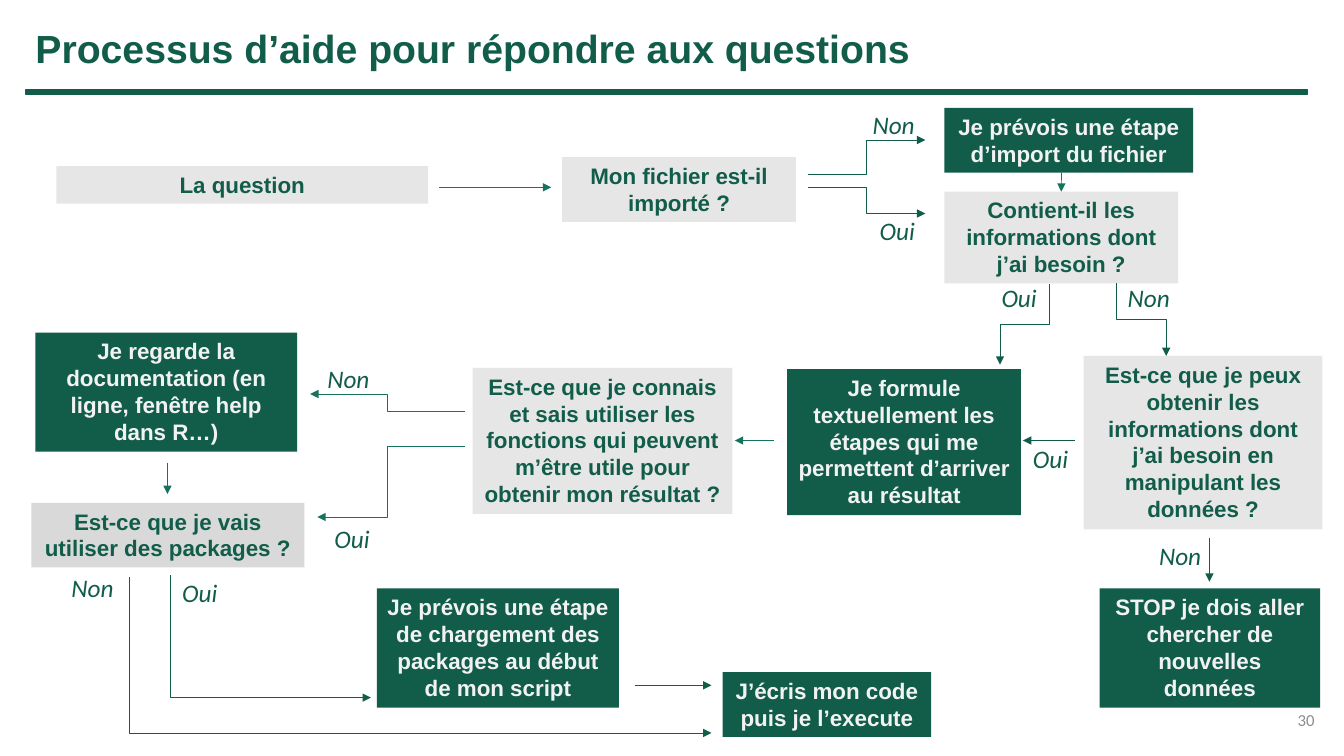
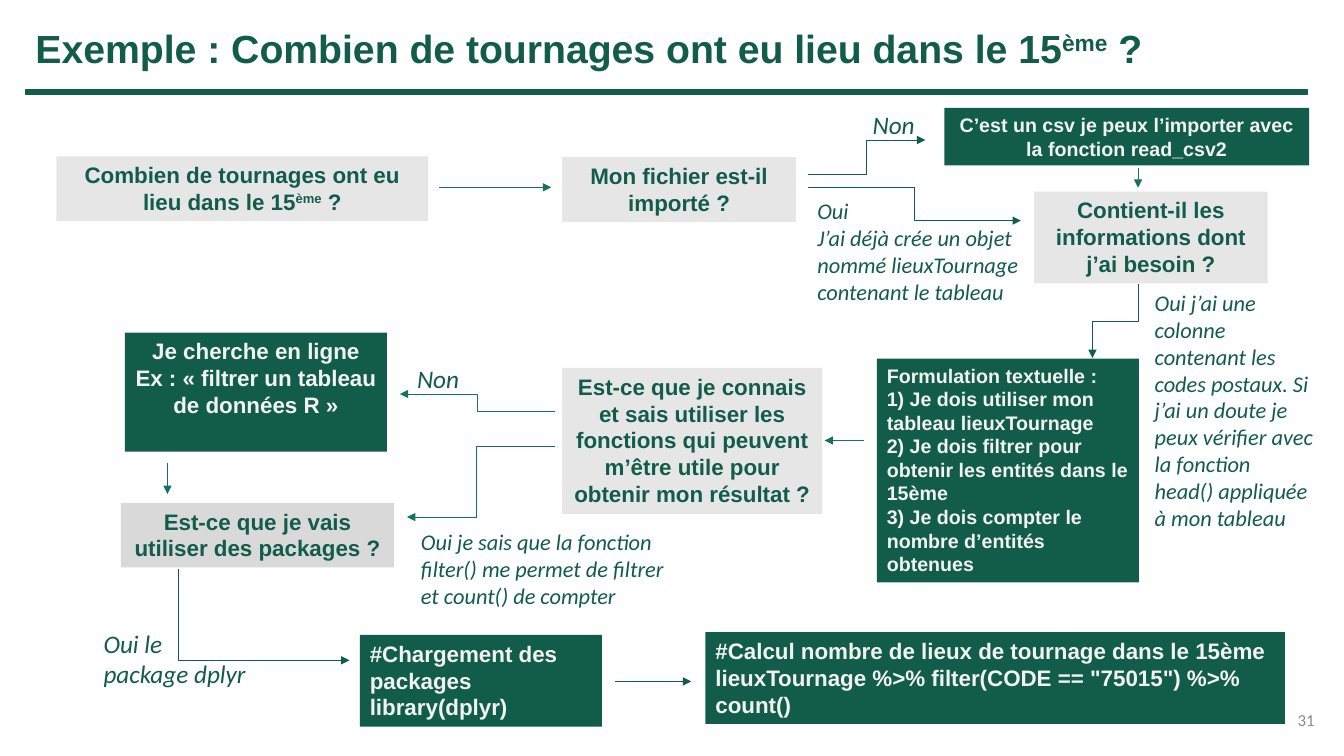
from dataclasses import dataclass

from lxml import etree
from pptx import Presentation
from pptx.dml.color import RGBColor
from pptx.enum.shapes import MSO_CONNECTOR, MSO_SHAPE
from pptx.enum.text import MSO_ANCHOR, PP_ALIGN
from pptx.oxml.ns import qn
from pptx.slide import Slide
from pptx.util import Cm, Pt

GREEN = RGBColor(0x12, 0x5D, 0x4A)
ARROW_GREEN = RGBColor(0x15, 0x73, 0x5C)
LIGHT_GREY = RGBColor(0xE7, 0xE6, 0xE6)
MID_GREY = RGBColor(0xD9, 0xD9, 0xD9)
NUMBER_GREY = RGBColor(0x8C, 0x8C, 0x8C)
OFF_WHITE = RGBColor(0xF2, 0xF2, 0xF2)

RECTANGLE = MSO_SHAPE.RECTANGLE
STRAIGHT, ELBOW = MSO_CONNECTOR.STRAIGHT, MSO_CONNECTOR.ELBOW
LEFT, CENTER, RIGHT = PP_ALIGN.LEFT, PP_ALIGN.CENTER, PP_ALIGN.RIGHT
TOP, MIDDLE = MSO_ANCHOR.TOP, MSO_ANCHOR.MIDDLE

TITLE_ONLY = 5
TOP_SIDE = 0


def write(shape, text, font_name, size, color, bold=False, italic=False,
          align=LEFT, anchor=TOP):
    """Fill a shape with one paragraph per line; ^...^ marks superscript."""
    frame = shape.text_frame
    frame.word_wrap = True
    frame.vertical_anchor = anchor
    for index, line in enumerate(text.split("\n")):
        paragraph = frame.add_paragraph() if index else frame.paragraphs[0]
        paragraph.alignment = align
        for position, part in enumerate(line.split("^")):
            run = paragraph.add_run()
            run.text = part
            if position % 2:
                run._r.get_or_add_rPr().set("baseline", "30000")
        font = paragraph.font
        font.name, font.size, font.color.rgb = font_name, Pt(size), color
        font.bold, font.italic = bold, italic


def style_arrow(connector, color):
    connector.line.color.rgb = color
    connector.line.width = Pt(0.5)
    properties = connector._element.spPr
    line = properties.find(qn("a:ln"))
    etree.SubElement(line, qn("a:tailEnd"), type="triangle")
    etree.SubElement(properties, qn("a:effectLst"))


@dataclass
class Region:
    """Part of a slide; every length is in cm from its top left corner."""
    slide: Slide
    left: float
    top: float

    def point(self, x, y):
        return Cm(self.left + x), Cm(self.top + y)

    def box(self, text, x, y, width, height, fill=LIGHT_GREY, size=16,
            align=CENTER):
        shape = self.slide.shapes.add_shape(
            RECTANGLE, *self.point(x, y), Cm(width), Cm(height))
        shape.shadow.inherit = False
        shape.fill.solid()
        shape.fill.fore_color.rgb = fill
        shape.line.fill.background()
        color = OFF_WHITE if fill == GREEN else GREEN
        write(shape, text, "Arial", size, color, bold=True, align=align)
        return shape

    def label(self, text, x, y, width=1.78, height=1.02, size=18):
        shape = self.slide.shapes.add_textbox(
            *self.point(x, y), Cm(width), Cm(height))
        write(shape, text, "Calibri", size, GREEN, italic=True)

    def arrow(self, start, end, color=ARROW_GREEN):
        connector = self.slide.shapes.add_connector(
            STRAIGHT, *self.point(*start), *self.point(*end))
        style_arrow(connector, color)
        return connector

    def elbow(self, start, end, color=GREEN, bend=0.5):
        """Arrow that leaves sideways and turns at the given share."""
        connector = self.slide.shapes.add_connector(
            ELBOW, *self.point(*start), *self.point(*end))
        if bend != 0.5:
            adjustments = connector._element.spPr.find(
                qn("a:prstGeom")).get_or_add_avLst()
            etree.SubElement(adjustments, qn("a:gd"), name="adj1",
                             fmla=f"val {round(bend * 100000)}")
        style_arrow(connector, color)
        return connector

    def down_elbow(self, start, end, corner=False):
        """Arrow that leaves downwards, with one corner or two."""
        middle_x, middle_y = (start[0] + end[0]) / 2, (start[1] + end[1]) / 2
        half_x, half_y = (end[0] - start[0]) / 2, (end[1] - start[1]) / 2
        connector = self.elbow((middle_x - half_y, middle_y + half_x),
                               (middle_x + half_y, middle_y - half_x))
        properties = connector._element.spPr
        properties.find(qn("a:xfrm")).set("rot", "5400000")
        if corner:
            properties.find(qn("a:prstGeom")).set("prst", "bentConnector2")


def start_slide(presentation, title_text, number):
    slide = presentation.slides.add_slide(
        presentation.slide_layouts[TITLE_ONLY])
    title = slide.shapes.title
    title.left, title.top = Cm(0.64), Cm(0.48)
    title.width, title.height = Cm(32), Cm(1.45)
    write(title, title_text, "Arial", 28, GREEN, bold=True)

    rule = slide.shapes.add_shape(
        RECTANGLE, Cm(0.66), Cm(2.26), Cm(32.28), Cm(0.13))
    rule.shadow.inherit = False
    rule.fill.solid()
    rule.fill.fore_color.rgb = GREEN
    rule.line.color.rgb = GREEN
    rule.line.width = Pt(1)

    number_box = slide.shapes.add_textbox(
        Cm(25.76), Cm(17.63), Cm(7.62), Cm(1.02))
    write(number_box, str(number), "Calibri", 12, NUMBER_GREY,
          align=RIGHT, anchor=MIDDLE)
    return slide


def add_file_check(region, question, question_top, question_height, yes_end):
    region.box(question, 0, question_top, 9.37, question_height)
    region.arrow((9.65, 2.1), (12.47, 2.1))
    region.box("Mon fichier est-il importé ?", 12.75, 1.34, 5.89, 1.63)
    region.elbow((18.95, 1.77), (21.9, 0.91))
    region.label("Non", 20.32, 0)
    region.elbow((18.95, 2.1), yes_end)


def add_import_check(region, import_text, import_size, font_size, check_left):
    region.box(import_text, 0, 0, *import_size, fill=GREEN, size=font_size)
    return region.box("Contient-il les informations dont j’ai besoin ?",
                      check_left, 2.11, 5.89, 2.31)


def add_function_check(region, search_text, down_x):
    region.box(search_text, 0.1, 0, 6.6, 3, fill=GREEN)
    region.arrow((down_x, 3.28), (down_x, 4.07))
    region.box("Est-ce que je vais utiliser des packages ?",
               0, 4.29, 6.88, 1.63, fill=MID_GREY)
    region.box("Est-ce que je connais et sais utiliser les fonctions qui "
               "peuvent m’être utile pour obtenir mon résultat ?",
               11.12, 0.89, 6.55, 3.68)
    region.elbow((10.94, 1.98), (7.03, 1.55), ARROW_GREEN)
    region.elbow((10.94, 2.87), (7.21, 4.65), ARROW_GREEN, bend=0.53)
    region.label("Non", 7.21, 0.64)
    region.arrow((18.72, 2.72), (17.73, 2.72))


def add_data_decision(region):
    region.down_elbow((8.3, 0.14), (9.55, 1.97))
    region.down_elbow((6.6, 0.16), (5.36, 2.19))
    region.label("Oui", 5.15, 0)
    region.label("Non", 8.33, 0)
    region.box("Est-ce que je peux obtenir les informations dont j’ai besoin "
               "en manipulant les données ?", 7.47, 1.97, 6.02, 4.37)
    region.box("Je formule textuellement les étapes qui me permettent "
               "d’arriver au résultat", 0, 2.3, 5.89, 3.68, fill=GREEN)
    region.arrow((7.24, 4.1), (5.94, 4.1), GREEN)
    region.label("Oui", 5.94, 4.05)
    region.arrow((10.64, 6.56), (10.64, 7.66), GREEN)
    region.label("Non", 9.12, 6.49)
    region.box("STOP je dois aller chercher de nouvelles données",
               7.87, 7.83, 5.56, 3, fill=GREEN)


def add_package_decision(region):
    region.label("Non", 0, 0)
    region.label("Oui", 2.79, 0.13)
    region.down_elbow((1.71, 0.23), (16.38, 4.17), corner=True)
    region.down_elbow((2.74, 0.2), (7.8, 3.28), corner=True)
    region.box("Je prévois une étape de chargement des packages au début "
               "de mon script", 7.95, 0.53, 6.1, 3, fill=GREEN)
    region.arrow((14.45, 2.97), (16.38, 2.97), GREEN)
    region.box("J’écris mon code puis je l’execute",
               16.66, 2.64, 5.26, 1.63, fill=GREEN)


def add_wording_example(region):
    region.down_elbow((6.58, 0), (5.43, 1.86))
    region.label("Oui j’ai une colonne contenant les codes postaux. Si j’ai un "
                 "doute je peux vérifier avec la fonction head() appliquée à "
                 "mon tableau", 6.75, 0, 4.52, 6.4, size=16)
    region.box("Formulation textuelle :\n"
               "1) Je dois utiliser mon tableau lieuxTournage\n"
               "2) Je dois filtrer pour obtenir les entités dans le 15ème\n"
               "3) Je dois compter le nombre d’entités obtenues",
               0, 1.88, 6.6, 5.64, fill=GREEN, size=14, align=LEFT)


def add_code_example(region):
    region.down_elbow((2.14, 0), (6.45, 2.31), corner=True)
    region.label("Oui le package dplyr", 0, 1.37, 4.22, 1.8)
    region.box("#Chargement des packages\nlibrary(dplyr)",
               6.71, 1.67, 6.1, 2.31, fill=GREEN, align=LEFT)
    region.arrow((13.13, 2.84), (15.06, 2.84), GREEN)
    region.box("#Calcul nombre de lieux de tournage dans le 15ème\n"
               'lieuxTournage %>% filter(CODE == "75015") %>% count()',
               15.42, 1.6, 14.6, 2.31, fill=GREEN, align=LEFT)


def add_process_slide(presentation):
    slide = start_slide(
        presentation, "Processus d’aide pour répondre aux questions", 30)
    file_region = Region(slide, 1.42, 2.62)
    add_file_check(file_region, "La question", 1.57, 0.94, (21.9, 2.76))
    file_region.label("Oui", 20.5, 2.69)

    import_region = Region(slide, 23.8, 2.72)
    check = add_import_check(
        import_region, "Je prévois une étape d’import du fichier",
        (6.27, 1.63), 16, 0)
    arrow = import_region.arrow((2.95, 1.63), (2.95, 2.11))
    arrow.end_connect(check, TOP_SIDE)

    add_data_decision(Region(slide, 19.84, 7))
    function_region = Region(slide, 0.79, 8.38)
    add_function_check(
        function_region,
        "Je regarde la documentation (en ligne, fenêtre help dans R…)", 3.43)
    function_region.label("Oui", 7.39, 4.68)
    add_package_decision(Region(slide, 1.55, 14.3))


def add_example_slide(presentation):
    slide = start_slide(
        presentation,
        "Exemple : Combien de tournages ont eu lieu dans le 15^ème^ ?", 31)
    file_region = Region(slide, 1.42, 2.62)
    add_file_check(file_region,
                   "Combien de tournages ont eu lieu dans le 15^ème^ ?",
                   1.32, 1.63, (24.31, 2.94))
    file_region.label("Oui\nJ’ai déjà crée un objet nommé lieuxTournage "
                      "contenant le tableau", 18.93, 2.23, 6.1, 3, size=16)

    import_region = Region(slide, 23.8, 2.72)
    add_import_check(
        import_region,
        "C’est un csv je peux l’importer avec la fonction read_csv2",
        (9.19, 1.45), 14, 2.26)
    import_region.arrow((4.88, 1.52), (4.88, 2.01))

    add_wording_example(Region(slide, 22.1, 7.16))
    function_region = Region(slide, 3.05, 8.38)
    add_function_check(
        function_region,
        "Je cherche en ligne\nEx : « filtrer un tableau de données R »", 1.17)
    function_region.label("Oui je sais que la fonction filter() me permet de "
                          "filtrer et count() de compter",
                          7.31, 4.8, 6.88, 2.31, size=16)
    add_code_example(Region(slide, 2.36, 14.33))


def main():
    presentation = Presentation()
    presentation.slide_width, presentation.slide_height = Cm(33.87), Cm(19.05)
    add_process_slide(presentation)
    add_example_slide(presentation)
    presentation.save("out.pptx")


if __name__ == "__main__":
    main()
